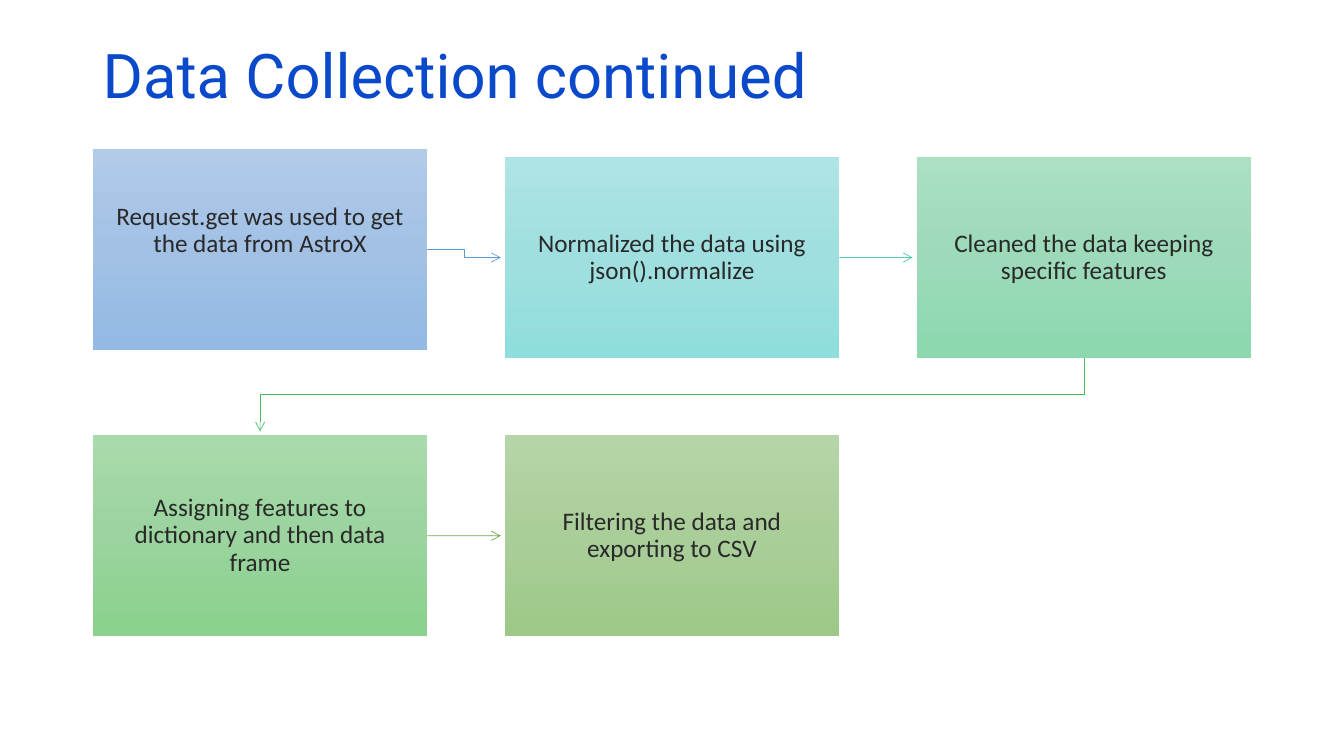
from copy import deepcopy
from lxml import etree
from pptx import Presentation
from pptx import util as u
from pptx.dml.color import RGBColor
from pptx.enum import shapes, text
from pptx.oxml.ns import qn

HUES = {
    "title": "0B49CB",
    "text": "292929",
    "fetch": ("B1CBE9", "A3C1E5", "93B9E4"),
    "norm": ("AEE4E5", "A0DFDF", "8FDEDE"),
    "clean": ("ABE0C3", "9DDAB9", "8CD8AF"),
    "assign": ("A9DAAB", "9BD49E", "89D18C"),
    "filter": ("B5D5A7", "AACE9A", "9CC987"),
    "blue": "5B9BD5",
    "teal": "52CAB8",
    "green": "49BF64",
    "olive": "70AD47",
}
LEFT, STEP, WIDE, HIGH = 2.34, 10.38, 8.43, 5.06
TOP, LOW = 3.96, 10.97
GAP = 0.1
PAD = 0.36

deck = Presentation()
deck.slide_width, deck.slide_height = u.Cm(33.87), u.Cm(19.05)
slide = deck.slides.add_slide(deck.slide_layouts[6])


def style(para, size, face, hue):
    para.line_spacing = 0.9
    para.font.size = u.Pt(size)
    para.font.name = face
    para.font.color.rgb = RGBColor.from_string(HUES[hue])


def link(kind, start, end, hue):
    line = slide.shapes.add_connector(kind, *[u.Cm(n) for n in (*start, *end)])
    line.line.width = u.Pt(0.5)
    line.line.color.rgb = RGBColor.from_string(HUES[hue])
    etree.SubElement(line.line._get_or_add_ln(), qn("a:tailEnd"), type="arrow")
    etree.SubElement(line._element.spPr, qn("a:effectLst"))
    return line


title = slide.shapes.add_textbox(u.Cm(LEFT), u.Cm(1.02), u.Cm(29.21), u.Cm(1.58))
title.text_frame.word_wrap = True
head = title.text_frame.paragraphs[0]
head.text = "Data Collection continued"
style(head, 44, "Roboto", "title")

STEPS = [
    ("fetch", 0, TOP - 0.21, "Request.get was used to get the data from AstroX"),
    ("norm", 1, TOP, "Normalized the data using json().normalize"),
    ("clean", 2, TOP, "Cleaned the data keeping specific features"),
    ("assign", 0, LOW, "Assigning features to dictionary and then data frame"),
    ("filter", 1, LOW, "Filtering the data and exporting to CSV"),
]
cards = {}
for name, col, top, words in STEPS:
    card = slide.shapes.add_shape(
        shapes.MSO_SHAPE.RECTANGLE,
        u.Cm(LEFT + col * STEP), u.Cm(top), u.Cm(WIDE), u.Cm(HIGH))
    card.shadow.inherit = False
    card.line.fill.background()
    card.fill.gradient()
    card.fill.gradient_angle = 270
    stops = card._element.spPr.find(".//" + qn("a:gsLst"))
    stops.insert(1, deepcopy(stops[0]))
    for i, stop in enumerate(card.fill.gradient_stops):
        stop.position = i / 2
        stop.color.rgb = RGBColor.from_string(HUES[name][i])
    frame = card.text_frame
    frame.word_wrap = True
    frame.vertical_anchor = text.MSO_ANCHOR.MIDDLE
    frame.margin_left = frame.margin_right = u.Cm(PAD)
    frame.margin_top = frame.margin_bottom = u.Cm(PAD)
    para = frame.paragraphs[0]
    para.text = words
    para.alignment = text.PP_ALIGN.CENTER
    style(para, 18, "Calibri", "text")
    cards[name] = card
cards["fetch"].text_frame.margin_bottom = u.Cm(PAD + 0.91)

ELBOW, LINE = shapes.MSO_CONNECTOR.ELBOW, shapes.MSO_CONNECTOR.STRAIGHT
for name, kind, col, top, hue in [
    ("fetch", ELBOW, 0, TOP, "blue"),
    ("norm", LINE, 1, TOP, "teal"),
    ("assign", LINE, 0, LOW, "olive"),
]:
    left, mid = LEFT + col * STEP, top + HIGH / 2
    arrow = link(kind, (left + WIDE, mid), (left + STEP - GAP, mid), hue)
    arrow.begin_connect(cards[name], 3)

drop = LOW - GAP - TOP - HIGH
x, y = LEFT + STEP + WIDE / 2, TOP + HIGH + drop / 2
turn = link(ELBOW, (x - drop / 2, y - STEP), (x + drop / 2, y + STEP), "green")
turn._element.spPr.find(qn("a:xfrm")).set("rot", "5400000")

deck.save("out.pptx")
